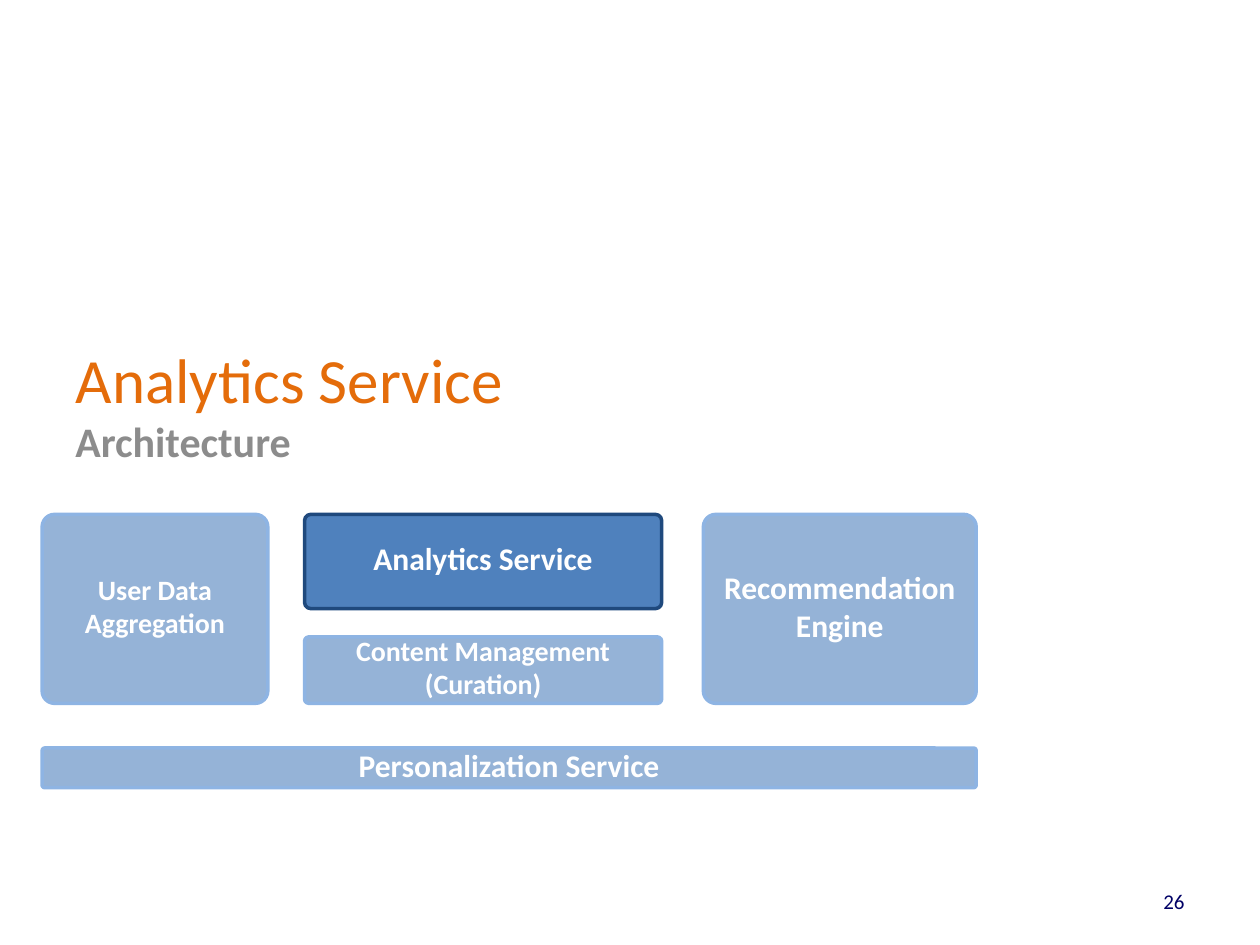
from dataclasses import dataclass

from pptx import Presentation
from pptx import util as u
from pptx.dml.color import RGBColor
from pptx.enum import shapes, text

FONT = "Calibri"
ORANGE = RGBColor(0xE4, 0x6C, 0x0A)
GRAY = RGBColor(0x8C, 0x8C, 0x8C)
NAVY = RGBColor(0x00, 0x00, 0x66)
WHITE = RGBColor(0xFF, 0xFF, 0xFF)
PALE_BLUE = RGBColor(0x95, 0xB3, 0xD7)
PALE_EDGE = RGBColor(0x8E, 0xB4, 0xE3)
BLUE = RGBColor(0x4F, 0x81, 0xBD)
DARK_EDGE = RGBColor(0x1F, 0x49, 0x7D)


@dataclass
class Component:
    """A block of the architecture; lengths in centimetres."""
    label: str
    left: float
    top: float
    width: float
    height: float
    size: int = 18
    active: bool = False


# Edges shared by the blocks
LEFT, MIDDLE, RIGHT = 0.85, 6.14, 14.18
TOP = 10.37
MIDDLE_WIDTH, RIGHT_WIDTH, TALL = 7.2, 5.5, 3.81

COMPONENTS = [
    Component("Personalization Service", LEFT, 15.08, RIGHT + RIGHT_WIDTH - LEFT, 0.8),
    Component("Recommendation Engine", RIGHT, TOP, RIGHT_WIDTH, TALL),
    Component("User Data Aggregation", LEFT, TOP, 4.55, TALL, size=16),
    Component("Analytics Service", MIDDLE, TOP, MIDDLE_WIDTH, 1.9, active=True),
    Component("Content Management (Curation)", MIDDLE, 12.84, MIDDLE_WIDTH, 1.34, size=16),
]


def write(box, content: str, size: int, color: RGBColor, align, anchor,
          bold: bool = False) -> None:
    frame = box.text_frame
    frame.word_wrap = True
    frame.auto_size = text.MSO_AUTO_SIZE.NONE
    frame.vertical_anchor = anchor
    para = frame.paragraphs[0]
    para.alignment = align
    span = para.add_run()
    span.text = content
    span.font.name = FONT
    span.font.size = u.Pt(size)
    span.font.bold = bold
    span.font.color.rgb = color


def add_component(page, item: Component) -> None:
    box = page.shapes.add_shape(
        shapes.MSO_SHAPE.ROUNDED_RECTANGLE,
        u.Cm(item.left), u.Cm(item.top), u.Cm(item.width), u.Cm(item.height))
    box.adjustments[0] = 0.066
    box.shadow.inherit = False
    box.fill.solid()
    box.fill.fore_color.rgb = BLUE if item.active else PALE_BLUE
    box.line.color.rgb = DARK_EDGE if item.active else PALE_EDGE
    box.line.width = u.Pt(2)
    box.text_frame.margin_top = 0
    write(box, item.label, item.size, WHITE, text.PP_ALIGN.CENTER,
          text.MSO_ANCHOR.MIDDLE, bold=True)


def main() -> None:
    deck = Presentation()
    deck.slide_width, deck.slide_height = u.Cm(25.4), u.Cm(19.05)
    page = deck.slides.add_slide(deck.slide_layouts[5])

    # Title and subtitle
    title = page.shapes.title
    title.left, title.top = u.Cm(1.27), u.Cm(6.15)
    title.width, title.height = u.Cm(15.67), u.Cm(2.97)
    write(title, "Analytics Service", 36, ORANGE, text.PP_ALIGN.LEFT,
          text.MSO_ANCHOR.MIDDLE)
    subtitle = page.shapes.add_textbox(u.Cm(1.27), u.Cm(8.26), u.Cm(13.13), u.Cm(2.11))
    write(subtitle, "Architecture", 24, GRAY, text.PP_ALIGN.LEFT,
          text.MSO_ANCHOR.TOP, bold=True)

    # Page number
    number = page.shapes.add_textbox(u.Cm(18.21), u.Cm(17.65), u.Cm(5.92), u.Cm(1.02))
    write(number, "26", 12, NAVY, text.PP_ALIGN.RIGHT, text.MSO_ANCHOR.MIDDLE)

    # Architecture blocks
    for item in COMPONENTS:
        add_component(page, item)

    deck.save("out.pptx")


if __name__ == "__main__":
    main()
